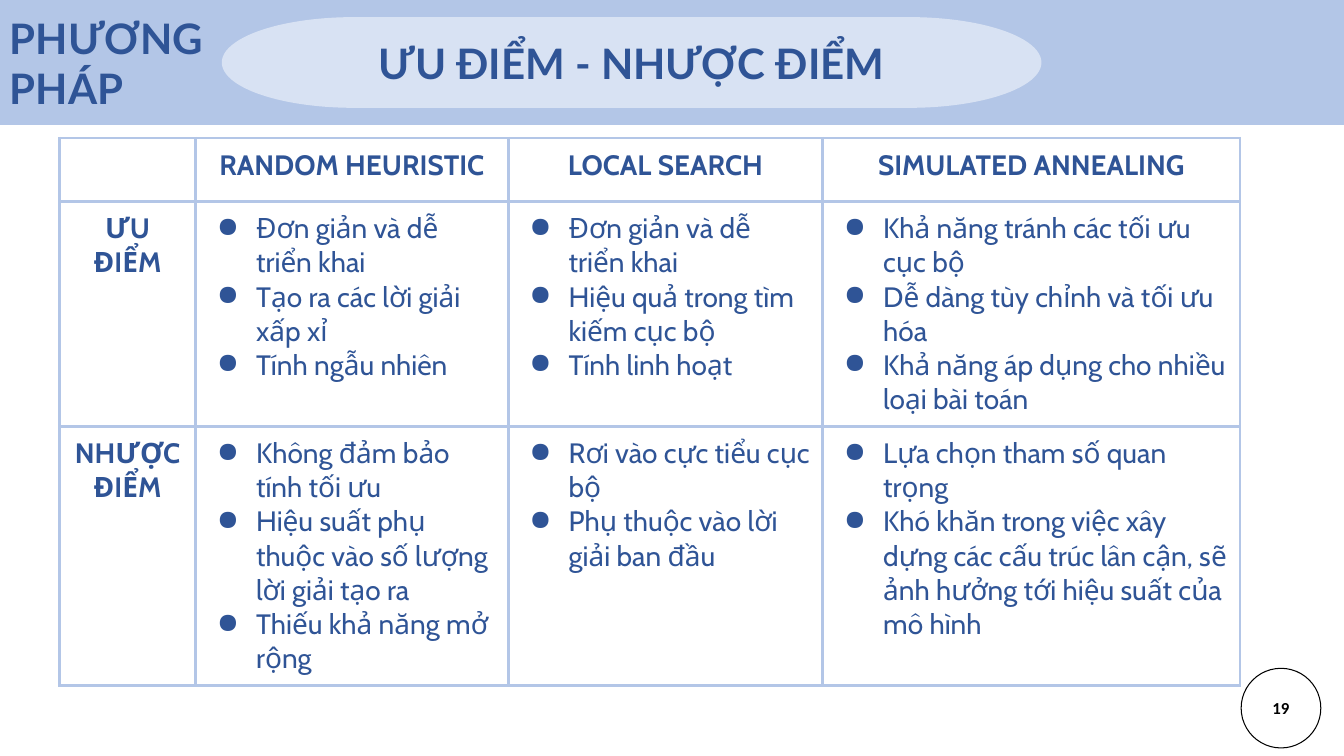
"""Build the slide comparing pros and cons of three search methods."""
import pptx
import pptx.dml.color
import pptx.enum.shapes
import pptx.enum.text
import pptx.oxml
import pptx.oxml.ns
import pptx.util
from pptx.util import Inches

SECTION = ["PHƯƠNG", "PHÁP"]
HEADING = "ƯU ĐIỂM - NHƯỢC ĐIỂM"
PAGE_NUMBER = "19"
METHODS = ["RANDOM HEURISTIC", "LOCAL SEARCH", "SIMULATED ANNEALING"]
COMPARISON = [
    ("ƯU ĐIỂM", [
        ["Đơn giản và dễ triển khai", "Tạo ra các lời giải xấp xỉ", "Tính ngẫu nhiên"],
        ["Đơn giản và dễ triển khai", "Hiệu quả trong tìm kiếm cục bộ", "Tính linh hoạt"],
        ["Khả năng tránh các tối ưu cục bộ", "Dễ dàng tùy chỉnh và tối ưu hóa",
         "Khả năng áp dụng cho nhiều loại bài toán"],
    ]),
    ("NHƯỢC ĐIỂM", [
        ["Không đảm bảo tính tối ưu", "Hiệu suất phụ thuộc vào số lượng lời giải tạo ra",
         "Thiếu khả năng mở rộng"],
        ["Rơi vào cực tiểu cục bộ", "Phụ thuộc vào lời giải ban đầu"],
        ["Lựa chọn tham số quan trọng",
         "Khó khăn trong việc xây dựng các cấu trúc lân cận, "
         "sẽ ảnh hưởng tới hiệu suất của mô hình"],
    ]),
]
COLUMN_WIDTHS = [1.35, 3.1, 3.12, 4.14]
ROW_HEIGHTS = [0.63, 2.23, 2.57]
NAVY, BLUE, PALE, BLACK = "2F5496", "B3C6E7", "D8E2F3", "000000"

LEFT = pptx.enum.text.PP_ALIGN.LEFT
CENTER = pptx.enum.text.PP_ALIGN.CENTER
MIDDLE = pptx.enum.text.MSO_ANCHOR.MIDDLE
SHAPES = pptx.enum.shapes.MSO_SHAPE
HEADING_FONT = {"name": "Lato", "size": pptx.util.Pt(30), "bold": True}
LABEL_FONT = {"name": "Cabin", "size": pptx.util.Pt(20), "bold": True}
POINT_FONT = {**LABEL_FONT, "bold": False}
NUMBER_FONT = {"name": "Calibri", "size": pptx.util.Pt(12), "bold": True}


def rgb(value):
    return pptx.dml.color.RGBColor.from_string(value)


def apply(target, values):
    for key, value in values.items():
        setattr(target, key, value)


def insets(horizontal, vertical):
    return {"margin_left": Inches(horizontal), "margin_right": Inches(horizontal),
            "margin_top": Inches(vertical), "margin_bottom": Inches(vertical)}


def xml(markup):
    head, rest = markup.split(" ", 1)
    return pptx.oxml.parse_xml(f"{head} {pptx.oxml.ns.nsdecls('a')} {rest}")


def write(frame, lines, font, color=NAVY, align=CENTER, bulleted=False):
    for index, line in enumerate(lines):
        paragraph = frame.paragraphs[0] if index == 0 else frame.add_paragraph()
        paragraph.alignment = align
        if bulleted:
            properties = paragraph._p.get_or_add_pPr()
            apply_indent = {"marL": Inches(0.5), "indent": Inches(-0.39)}
            for key, value in apply_indent.items():
                properties.set(key, str(value))
            properties.append(xml(f'<a:buClr ><a:srgbClr val="{NAVY}"/></a:buClr>'))
            properties.append(xml('<a:buChar char="●"/>'))
        run = paragraph.add_run()
        run.text = line
        apply(run.font, font)
        run.font.color.rgb = rgb(color)


def add_panel(slide, preset, box, fill=None, line=None):
    panel = slide.shapes.add_shape(preset, *map(Inches, box))
    panel.shadow.inherit = False
    if fill:
        panel.fill.solid()
        panel.fill.fore_color.rgb = rgb(fill)
    else:
        panel.fill.background()
    if line:
        panel.line.color.rgb = rgb(line)
        panel.line.width = pptx.util.Pt(0.75)
    else:
        panel.line.fill.background()
    apply(panel.text_frame, {"word_wrap": True, "vertical_anchor": MIDDLE, **insets(0.1, 0.05)})
    return panel


def format_cell(cell):
    apply(cell, insets(0.1, 0.1))
    cell.fill.background()
    properties = cell._tc.get_or_add_tcPr()
    for index, side in enumerate(["lnL", "lnR", "lnT", "lnB"]):
        properties.insert(index, xml(
            f'<a:{side} w="{pptx.util.Pt(2.25)}"><a:solidFill>'
            f'<a:srgbClr val="{BLUE}"/></a:solidFill></a:{side}>'))


def add_comparison(slide):
    table = slide.shapes.add_table(
        len(ROW_HEIGHTS), len(COLUMN_WIDTHS), Inches(0.59), Inches(1.37),
        Inches(sum(COLUMN_WIDTHS)), Inches(sum(ROW_HEIGHTS))).table
    apply(table, {"first_row": False, "horz_banding": False})
    for column, width in zip(table.columns, COLUMN_WIDTHS):
        column.width = Inches(width)
    for row, height in zip(table.rows, ROW_HEIGHTS):
        row.height = Inches(height)
    for cell in table.iter_cells():
        format_cell(cell)
    for column, method in enumerate(METHODS, 1):
        write(table.cell(0, column).text_frame, [method], LABEL_FONT)
    for row, (aspect, points_by_method) in enumerate(COMPARISON, 1):
        write(table.cell(row, 0).text_frame, [aspect], LABEL_FONT)
        for column, points in enumerate(points_by_method, 1):
            write(table.cell(row, column).text_frame, points, POINT_FONT,
                  align=LEFT, bulleted=True)


def main():
    deck = pptx.Presentation()
    apply(deck, {"slide_width": Inches(13.33), "slide_height": Inches(7.5)})
    slide = deck.slides.add_slide(deck.slide_layouts[5])

    page = add_panel(slide, SHAPES.OVAL, (12.31, 6.63, 0.79, 0.79), line=BLACK)
    write(page.text_frame, [PAGE_NUMBER], NUMBER_FONT, BLACK)
    band = add_panel(slide, SHAPES.RECTANGLE, (0, 0, 13.33, 1.24), BLUE)
    write(band.text_frame, SECTION, HEADING_FONT, align=LEFT)
    pill = add_panel(slide, SHAPES.FLOWCHART_TERMINATOR, (2.2, 0.17, 8.13, 0.9), PALE)

    heading = slide.shapes.title
    apply(heading, {side: getattr(pill, side) for side in ("left", "top", "width", "height")})
    apply(heading.text_frame, {
        "word_wrap": True, "vertical_anchor": MIDDLE,
        "auto_size": pptx.enum.text.MSO_AUTO_SIZE.NONE, **insets(0.1, 0.1)})
    write(heading.text_frame, [HEADING], HEADING_FONT)
    pill.element.addnext(heading.element)

    add_comparison(slide)
    deck.save("out.pptx")


if __name__ == "__main__":
    main()
